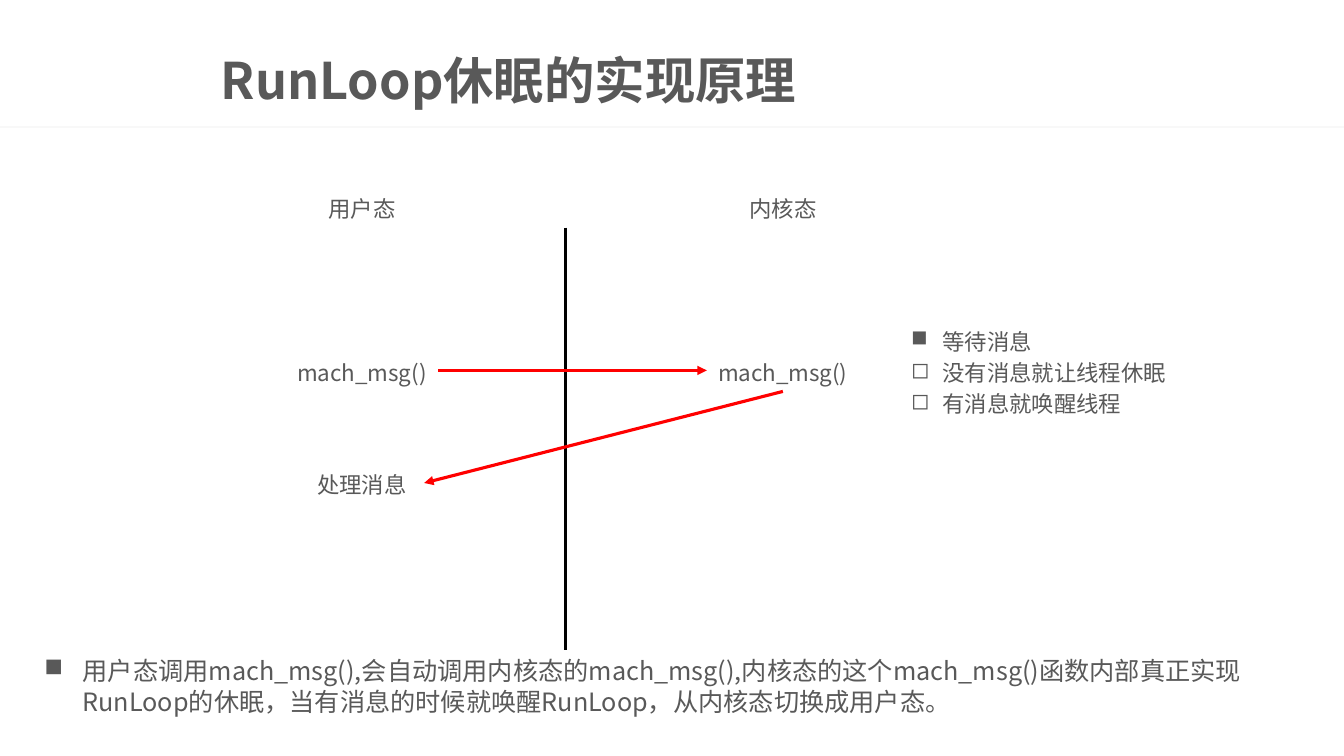
from lxml import etree
from pptx import Presentation
from pptx.dml.color import RGBColor
from pptx.enum.shapes import MSO_CONNECTOR, MSO_SHAPE
from pptx.enum.text import MSO_ANCHOR, PP_ALIGN
from pptx.oxml.ns import qn
from pptx.util import Inches, Pt

STRAIGHT = MSO_CONNECTOR.STRAIGHT
RECT = MSO_SHAPE.RECTANGLE
TOP, MIDDLE = MSO_ANCHOR.TOP, MSO_ANCHOR.MIDDLE
LEFT, CENTER = PP_ALIGN.LEFT, PP_ALIGN.CENTER

GRAY = RGBColor(0x59, 0x59, 0x59)
PALE = RGBColor(0xEA, 0xEA, 0xEA)
BLACK = RGBColor(0, 0, 0)
RED = RGBColor(0xFF, 0, 0)
FONT = "Noto Sans CJK SC"

# The slide is a grid of 160 columns by 90 rows; all boxes are in grid units
COLS, ROWS = 160, 90
SLIDE_W, SLIDE_H = Inches(13.33), Inches(7.5)
BOTTOM_SIDE, LEFT_SIDE, RIGHT_SIDE = 2, 1, 3


def col(n):
    return int(SLIDE_W * n / COLS)


def row(n):
    return int(SLIDE_H * n / ROWS)


def place(box):
    x, y, w, h = box
    return col(x), row(y), col(w), row(h)


def add_text(slide, box, lines, size=16, bold=False, align=LEFT,
             anchor=MIDDLE, spacing=Pt(22), wrap=True, indent=0):
    """Lines are (bullet, text) pairs; an empty bullet means a plain line."""
    sp = slide.shapes.add_textbox(*place(box))
    tf = sp.text_frame
    tf.word_wrap = wrap
    tf.vertical_anchor = anchor
    for i, (bullet, text) in enumerate(lines):
        p = tf.paragraphs[0] if i == 0 else tf.add_paragraph()
        p.alignment = align
        p.line_spacing = spacing
        if bullet:
            pPr = p._p.get_or_add_pPr()
            pPr.set("marL", str(Inches(indent)))
            pPr.set("indent", str(-Inches(indent)))
            etree.SubElement(pPr, qn("a:buChar")).set("char", bullet)
        r = p.add_run()
        r.text = text
        r.font.size = Pt(size)
        r.font.bold = bold
        r.font.name = FONT
        r.font.color.rgb = GRAY
        etree.SubElement(r._r.get_or_add_rPr(), qn("a:ea")).set("typeface", FONT)
    return sp


def add_line(slide, color, ends=(0, 0, 0, 0), arrow=False):
    x1, y1, x2, y2 = ends
    line = slide.shapes.add_connector(STRAIGHT, col(x1), row(y1), col(x2), row(y2))
    line.line.color.rgb = color
    line.line.width = Pt(2.25)
    if arrow:
        ln = line.line._get_or_add_ln()
        etree.SubElement(ln, qn("a:tailEnd")).set("type", "triangle")
    etree.SubElement(line._element.spPr, qn("a:effectLst"))
    return line


def add_arrow(slide, start, start_side, end, end_side):
    arrow = add_line(slide, RED, arrow=True)
    arrow.begin_connect(start, start_side)
    arrow.end_connect(end, end_side)


def add_header(slide, box):
    x, y, w, h = box
    # Pale rule under the title
    rule = slide.shapes.add_shape(RECT, *place((x, y + h - 0.24, w, 0.24)))
    rule.shadow.inherit = False
    rule.fill.solid()
    rule.fill.fore_color.rgb = PALE
    rule.line.fill.background()
    clr = rule._element.spPr.find(qn("a:solidFill"))[0]
    etree.SubElement(clr, qn("a:alpha")).set("val", "32000")
    # Title
    add_text(slide, (x + 25.1, y + 5.2, 132.4, 9.4),
             [("", "RunLoop休眠的实现原理")], size=36, bold=True, spacing=0.9)


def add_diagram(slide, box):
    x, y, w, h = box
    user, kernel = x + 9.1, x + 59.2
    heading, call, handle = y + 2.5, y + 22, y + 35.4

    def label(text, cx, cy, width):
        return add_text(slide, (cx - width / 2, cy - 2.5, width, 5),
                        [("", text)], align=CENTER, wrap=False)

    # Two sides and the divider between them
    label("用户态", user, heading, 14.4)
    label("内核态", kernel, heading, 14.4)
    add_line(slide, BLACK, (x + 33.3, y + 5, x + 33.3, y + h))

    # Call into the kernel and return
    user_call = label("mach_msg()", user, call, 18.1)
    kernel_call = label("mach_msg()", kernel, call, 18.1)
    handler = label("处理消息", user, handle, 14.8)
    add_arrow(slide, user_call, RIGHT_SIDE, kernel_call, LEFT_SIDE)
    add_arrow(slide, kernel_call, BOTTOM_SIDE, handler, RIGHT_SIDE)

    # What the kernel does
    add_text(slide, (x + 73.3, call - 6.7, w - 73.3, 13.4),
             [("■", "等待消息"),
              ("◻", "没有消息就让线程休眠"),
              ("◻", "有消息就唤醒线程")], indent=0.31)


def add_summary(slide, box):
    text = ("用户态调用mach_msg(),会自动调用内核态的mach_msg(),"
            "内核态的这个mach_msg()函数内部真正实现RunLoop的休眠，"
            "当有消息的时候就唤醒RunLoop，从内核态切换成用户态。")
    add_text(slide, box, [("■", text)], size=18, anchor=TOP, indent=0.38)


def main():
    prs = Presentation()
    prs.slide_width, prs.slide_height = SLIDE_W, SLIDE_H
    slide = prs.slides.add_slide(prs.slide_layouts[6])
    add_header(slide, (0, 0, COLS, 15.24))
    add_diagram(slide, (34, 22.1, 109.7, 55.3))
    add_summary(slide, (4.1, 77.4, 146.2, 8.4))
    prs.save("out.pptx")


if __name__ == "__main__":
    main()
